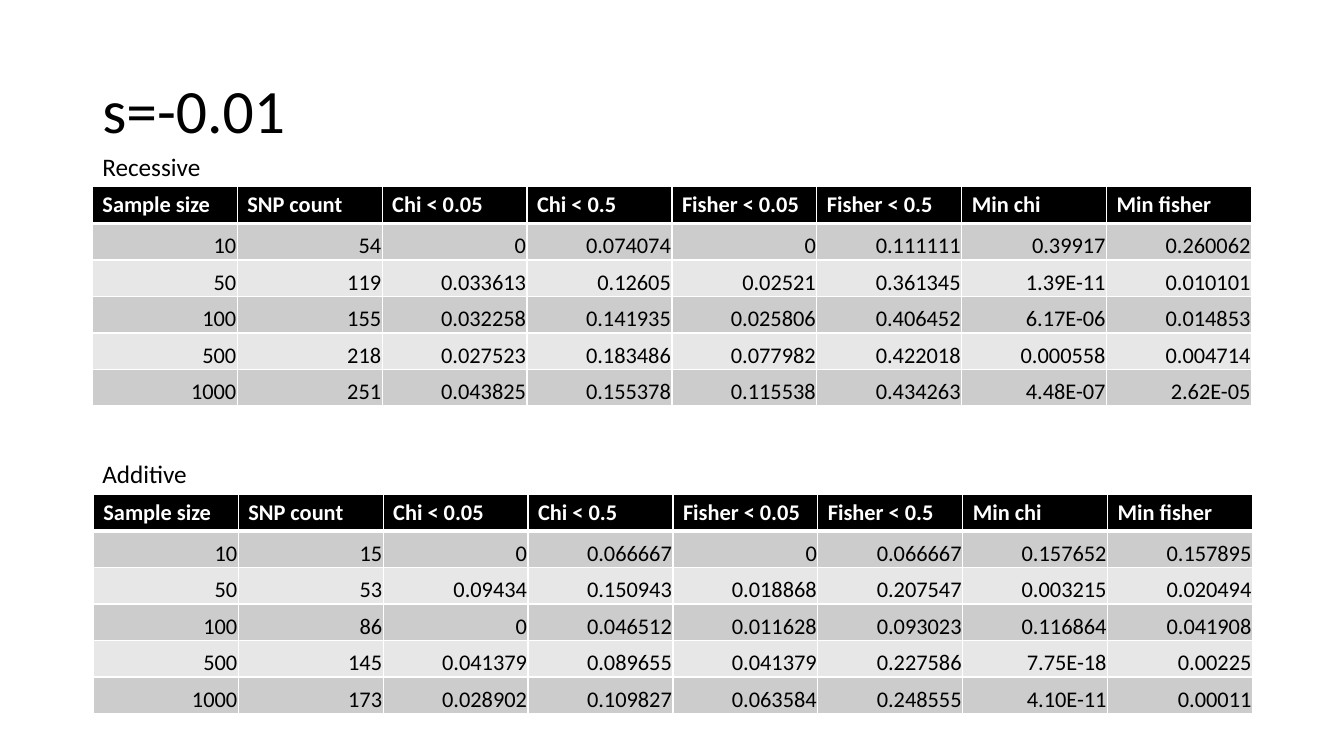
from lxml.etree import SubElement
from pptx import Presentation
from pptx.dml.color import RGBColor
from pptx.enum.text import MSO_ANCHOR as Anchor, PP_ALIGN as Align
from pptx.oxml.ns import qn
from pptx.util import Pt

TITLE = "s=-0.01"
HEADER = ["Sample size", "SNP count", "Chi < 0.05", "Chi < 0.5",
          "Fisher < 0.05", "Fisher < 0.5", "Min chi", "Min fisher"]
RECESSIVE = [
    ["10", "54", "0", "0.074074", "0", "0.111111", "0.39917", "0.260062"],
    ["50", "119", "0.033613", "0.12605", "0.02521", "0.361345", "1.39E-11", "0.010101"],
    ["100", "155", "0.032258", "0.141935", "0.025806", "0.406452", "6.17E-06", "0.014853"],
    ["500", "218", "0.027523", "0.183486", "0.077982", "0.422018", "0.000558", "0.004714"],
    ["1000", "251", "0.043825", "0.155378", "0.115538", "0.434263", "4.48E-07", "2.62E-05"],
]
ADDITIVE = [
    ["10", "15", "0", "0.066667", "0", "0.066667", "0.157652", "0.157895"],
    ["50", "53", "0.09434", "0.150943", "0.018868", "0.207547", "0.003215", "0.020494"],
    ["100", "86", "0", "0.046512", "0.011628", "0.093023", "0.116864", "0.041908"],
    ["500", "145", "0.041379", "0.089655", "0.041379", "0.227586", "7.75E-18", "0.00225"],
    ["1000", "173", "0.028902", "0.109827", "0.063584", "0.248555", "4.10E-11", "0.00011"],
]
# label, rows, label top, table left, table top
SECTIONS = [("Recessive", RECESSIVE, 104.5, 66, 133.2),
            ("Additive", ADDITIVE, 323.6, 66.7, 352.8)]

COLORS = {"ink": "000000", "paper": "FFFFFF", "dark band": "CCCCCC", "light band": "E7E7E7"}
FONT = "Calibri"
LEFT, WIDTH = 66, 828
ROW_HEIGHT = 26.1
THIN, THICK = 1, 3


def color(name):
    """Return the named colour."""
    return RGBColor.from_string(COLORS[name])


def style(para, size, ink="ink", bold=False):
    """Set the font of a whole paragraph."""
    font = para.font
    font.name, font.size, font.bold = FONT, Pt(size), bold
    font.color.rgb = color(ink)


def add_text(page, text, size, top, width, height, wrap=False):
    """Add one line of text at the left margin."""
    box = page.shapes.add_textbox(Pt(LEFT), Pt(top), Pt(width), Pt(height))
    frame = box.text_frame
    frame.word_wrap = wrap
    frame.text = text
    style(frame.paragraphs[0], size)
    return frame


def add_borders(cell, top, bottom):
    """Draw white edges around a cell."""
    props = cell._tc.get_or_add_tcPr()
    for side, width in (("L", THIN), ("R", THIN), ("T", top), ("B", bottom)):
        line = SubElement(props, qn(f"a:ln{side}"), w=str(Pt(width)))
        fill = SubElement(line, qn("a:solidFill"))
        SubElement(fill, qn("a:srgbClr"), val=COLORS["paper"])


def fill_cell(cell, text, row):
    """Write and format one cell according to its row."""
    cell.text = text
    para = cell.text_frame.paragraphs[0]
    add_borders(cell, THICK if row == 1 else THIN, THICK if row == 0 else THIN)
    cell.fill.solid()
    if row == 0:
        cell.fill.fore_color.rgb = color("ink")
        style(para, 16, "paper", bold=True)
        return
    cell.fill.fore_color.rgb = color("dark band" if row % 2 else "light band")
    style(para, 16)
    para.alignment = Align.RIGHT
    cell.vertical_anchor = Anchor.BOTTOM
    cell.margin_left = cell.margin_right = cell.margin_top = Pt(0.75)
    cell.margin_bottom = Pt(0)


def add_results(page, rows, left, top):
    """Add a table of results under the shared header."""
    grid = [HEADER] + rows
    table = page.shapes.add_table(len(grid), len(HEADER), Pt(left), Pt(top),
                                  Pt(WIDTH), Pt(ROW_HEIGHT * len(grid))).table
    for column in table.columns:
        column.width = Pt(WIDTH / len(HEADER))
    for row, values in enumerate(grid):
        table.rows[row].height = Pt(ROW_HEIGHT)
        for column, value in enumerate(values):
            fill_cell(table.cell(row, column), value, row)


deck = Presentation()
deck.slide_width, deck.slide_height = Pt(960), Pt(540)
page = deck.slides.add_slide(deck.slide_layouts[6])

title = add_text(page, TITLE, 44, 28.75, WIDTH, 104.4, wrap=True)
title.vertical_anchor = Anchor.MIDDLE
title.paragraphs[0].line_spacing = 0.9

for label, rows, label_top, table_left, table_top in SECTIONS:
    add_results(page, rows, table_left, table_top)
    add_text(page, label, 18, label_top, 85, 29)

deck.save("out.pptx")
